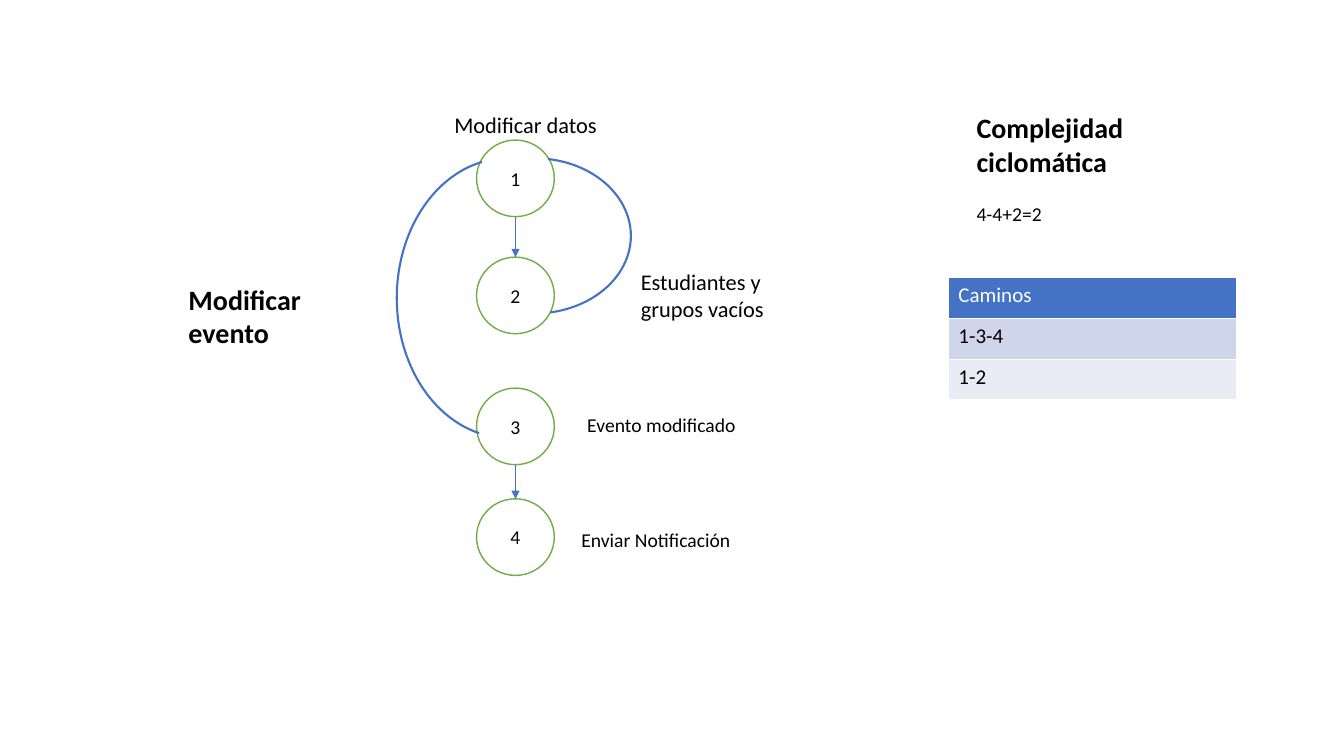
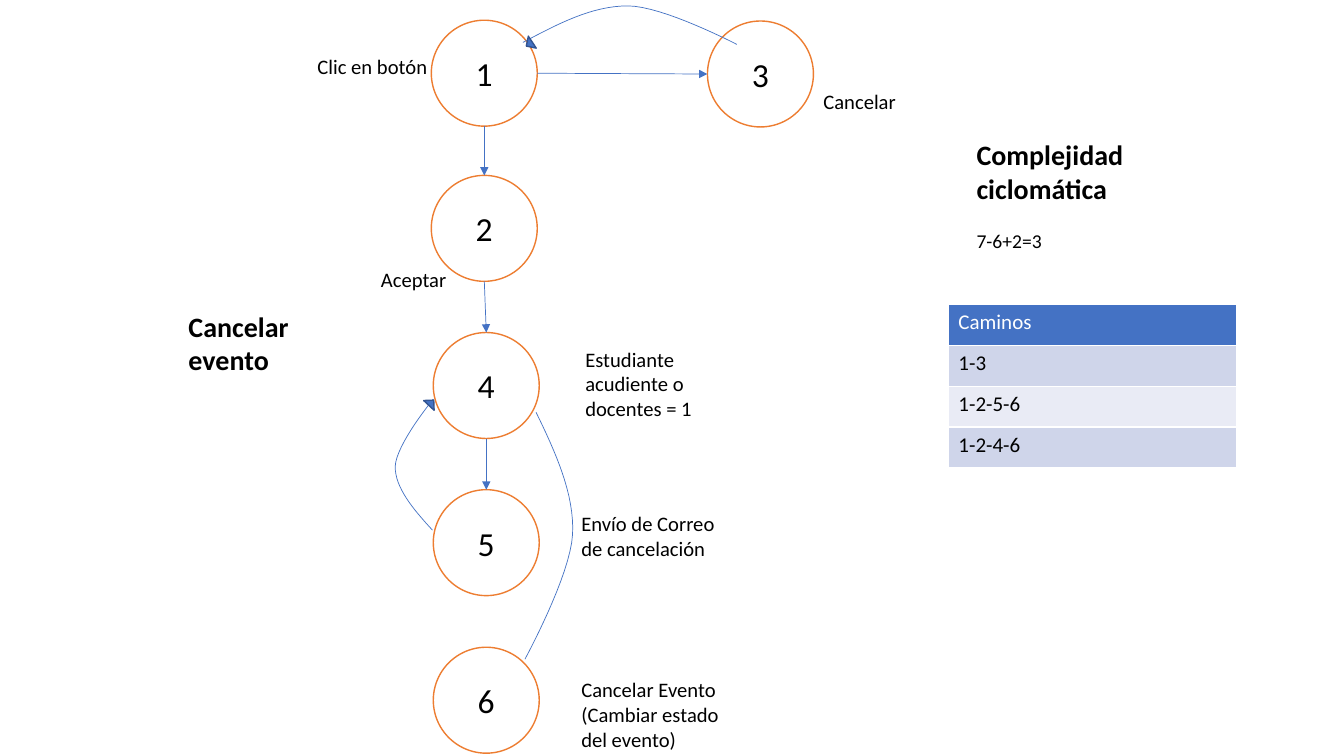
from dataclasses import dataclass

from lxml import etree
from pptx import Presentation
from pptx.dml.color import RGBColor
from pptx.enum import shapes, text
from pptx.oxml import ns
from pptx.util import Cm, Pt


@dataclass(frozen=True)
class Theme:
    font: str = "Calibri"
    ink: str = "000000"
    paper: str = "FFFFFF"
    blue: str = "4472C4"
    dark_blue: str = "325491"
    green: str = "70AD47"
    orange: str = "ED7D31"
    bands: tuple = ("CFD5EA", "E9EBF5")
    heading: float = 20
    body: float = 14
    cell: float = 15
    thin: float = 0.5
    outline: float = 1
    thick: float = 1.5


THEME = Theme()


@dataclass(frozen=True)
class Region:
    """A part of a slide; lengths given to it are centimetres from its corner."""
    slide: object
    left: float
    top: float

    def point(self, x, y):
        return Cm(self.left + x), Cm(self.top + y)

    def box(self, x, y, width, height):
        return *self.point(x, y), Cm(width), Cm(height)


def rgb(code):
    return RGBColor.from_string(code)


def write(paragraph, words, size, color=THEME.ink, bold=False):
    run = paragraph.add_run()
    run.text = words
    run.font.name = THEME.font
    run.font.size = Pt(size)
    run.font.bold = bold
    run.font.color.rgb = rgb(color)


def paint(shape, fill, line, width):
    shape.shadow.inherit = False
    if fill:
        shape.fill.solid()
        shape.fill.fore_color.rgb = rgb(fill)
    else:
        shape.fill.background()
    shape.line.color.rgb = rgb(line)
    shape.line.width = Pt(width)


def add_label(region, box, words, size, bold=False):
    frame = region.slide.shapes.add_textbox(*region.box(*box)).text_frame
    frame.word_wrap = True
    write(frame.paragraphs[0], words, size, bold=bold)
    return frame


def add_nodes(region, places, width, height, color, size):
    """Draw numbered circles and return them by number."""
    nodes = {}
    for number, (x, y) in places.items():
        node = region.slide.shapes.add_shape(
            shapes.MSO_SHAPE.OVAL, *region.box(x, y, width, height))
        paint(node, THEME.paper, color, THEME.outline)
        node.text_frame.vertical_anchor = text.MSO_ANCHOR.MIDDLE
        paragraph = node.text_frame.paragraphs[0]
        paragraph.alignment = text.PP_ALIGN.CENTER
        write(paragraph, str(number), size)
        nodes[number] = node
    return nodes


def add_arrow(slide, start, end):
    arrow = slide.shapes.add_connector(shapes.MSO_CONNECTOR.STRAIGHT, *start, *end)
    arrow.line.color.rgb = rgb(THEME.blue)
    arrow.line.width = Pt(THEME.thin)
    etree.SubElement(arrow.line._get_or_add_ln(), ns.qn("a:tailEnd"), type="triangle")
    etree.SubElement(arrow._element.spPr, ns.qn("a:effectLst"))


def arrow_down(slide, upper, lower):
    add_arrow(slide, (upper.left + upper.width // 2, upper.top + upper.height),
              (lower.left + lower.width // 2, lower.top))


def arrow_right(slide, first, second):
    add_arrow(slide, (first.left + first.width, first.top + first.height // 2),
              (second.left, second.top + second.height // 2))


def add_arc(region, box, start, end):
    """Draw an arc clockwise between two angles in degrees."""
    arc = region.slide.shapes.add_shape(shapes.MSO_SHAPE.ARC, *region.box(*box))
    arc.adjustments[0] = start * 0.6
    arc.adjustments[1] = end * 0.6
    paint(arc, None, THEME.blue, THEME.thick)


def add_curve(region, start, *bends, steps=16):
    """Draw joined cubic curves, each bend being two handles and an end."""
    points = []
    origin = start
    for bend in bends:
        for step in range(1, steps + 1):
            t = step / steps
            weights = ((1 - t) ** 3, 3 * t * (1 - t) ** 2, 3 * t * t * (1 - t), t ** 3)
            x, y = (sum(w * p[axis] for w, p in zip(weights, (origin, *bend)))
                    for axis in (0, 1))
            points.append(region.point(x, y))
        origin = bend[-1]
    builder = region.slide.shapes.build_freeform(*region.point(*start))
    builder.add_line_segments(points, close=False)
    paint(builder.convert_to_shape(), None, THEME.blue, THEME.thin)


def add_arrowhead(region, x, y, angle):
    head = region.slide.shapes.add_shape(
        shapes.MSO_SHAPE.ISOSCELES_TRIANGLE, *region.box(x, y, 0.36, 0.18))
    head.rotation = angle
    paint(head, THEME.blue, THEME.dark_blue, THEME.outline)


def add_complexity(region, formula, routes):
    """Place the complexity formula above the table of routes."""
    frame = add_label(region, (0.46, 0, 5.26, 3.18), "Complejidad ciclomática",
                      THEME.heading, bold=True)
    frame.paragraphs[0].space_after = Pt(17)
    write(frame.add_paragraph(), formula, THEME.body)

    rows = ["Caminos", *routes]
    row_height = 1.03
    table = region.slide.shapes.add_table(
        len(rows), 1, *region.box(0, 4.32, 7.26, row_height * len(rows))).table
    for index, words in enumerate(rows):
        cell = table.cell(index, 0)
        cell.fill.solid()
        fill = THEME.bands[(index - 1) % 2] if index else THEME.blue
        cell.fill.fore_color.rgb = rgb(fill)
        write(cell.text_frame.paragraphs[0], words, THEME.cell,
              THEME.ink if index else THEME.paper)


def add_page(deck, top, title, formula, routes):
    """Add a slide with its title on the left and its complexity on the right."""
    slide = deck.slides.add_slide(deck.slide_layouts[6])
    add_label(Region(slide, 4.5, top), (0, 4.32, 4.55, 1.96), title,
              THEME.heading, bold=True)
    add_complexity(Region(slide, 23.9, top), formula, routes)
    return slide


def add_modify_graph(region):
    places = {number: (2.01, y) for number, y in enumerate((0.86, 3.81, 7.11, 9.9), 1)}
    nodes = add_nodes(region, places, 1.96, 1.93, THEME.green, THEME.body)
    for upper, lower in ((1, 2), (3, 4)):
        arrow_down(region.slide, nodes[upper], nodes[lower])
    add_arc(region, (1.05, 1.32, 4.85, 3.91), 279.8, 78.31)
    add_arc(region, (0, 1.32, 5.56, 7.04), 101.69, 259.54)
    for box, words, size in (
        ((1.2, 0, 5.56, 0.94), "Modificar datos", 16),
        ((5.9, 3.96, 4.01, 1.63), "Estudiantes y grupos vacíos", 16),
        ((4.55, 7.62, 4.5, 0.86), "Evento modificado", THEME.body),
        ((4.4, 10.51, 5.56, 0.86), "Enviar Notificación", THEME.body),
    ):
        add_label(region, box, words, size)


def add_cancel_graph(region):
    places = {1: (3.12, 0.51), 2: (3.12, 4.42), 3: (10.08, 0.53),
              4: (3.17, 8.38), 5: (3.17, 12.34), 6: (3.17, 16.31)}
    nodes = add_nodes(region, places, 2.67, 2.67, THEME.orange, 24)
    for upper, lower in ((1, 2), (2, 4), (4, 5)):
        arrow_down(region.slide, nodes[upper], nodes[lower])
    arrow_right(region.slide, nodes[1], nodes[3])

    add_curve(region, (3.15, 13.36),
              ((2.66, 12.83), (2.21, 12.29), (2.21, 11.76)),
              ((2.23, 11.2), (3.17, 10.06), (3.17, 10.06)))
    add_curve(region, (5.76, 10.39),
              ((6.25, 11.4), (6.73, 12.45), (6.68, 13.46)),
              ((6.63, 14.5), (5.48, 16.61), (5.48, 16.61)))
    add_curve(region, (5.43, 1.07),
              ((6.3, 0.61), (7.16, 0.15), (8.07, 0.15)),
              ((8.96, 0.15), (10.82, 1.12), (10.82, 1.12)))
    add_arrowhead(region, 2.94, 10.06, 43)
    add_arrowhead(region, 5.41, 1.02, 236.6)

    for x, y, height, words in (
        (0, 1.24, 0.89, "Clic en botón"),
        (12.75, 2.11, 0.89, "Cancelar"),
        (1.6, 6.6, 0.89, "Aceptar"),
        (6.75, 8.61, 2.13, "Estudiante acudiente o docentes = 1"),
        (6.65, 12.75, 1.5, "Envío de Correo de cancelación"),
        (6.65, 16.94, 2.13, "Cancelar Evento (Cambiar estado del evento)"),
    ):
        add_label(region, (x, y, 4.5, height), words, 14.7)


def main():
    deck = Presentation()
    deck.slide_width, deck.slide_height = Cm(33.87), Cm(19.05)
    modify = add_page(deck, 2.67, "Modificar evento", "4-4+2=2", ("1-3-4", "1-2"))
    add_modify_graph(Region(modify, 10, 2.67))
    cancel = add_page(deck, 3.35, "Cancelar evento", "7-6+2=3",
                      ("1-3", "1-2-5-6", "1-2-4-6"))
    add_cancel_graph(Region(cancel, 7.75, 0))
    deck.save("out.pptx")


if __name__ == "__main__":
    main()
